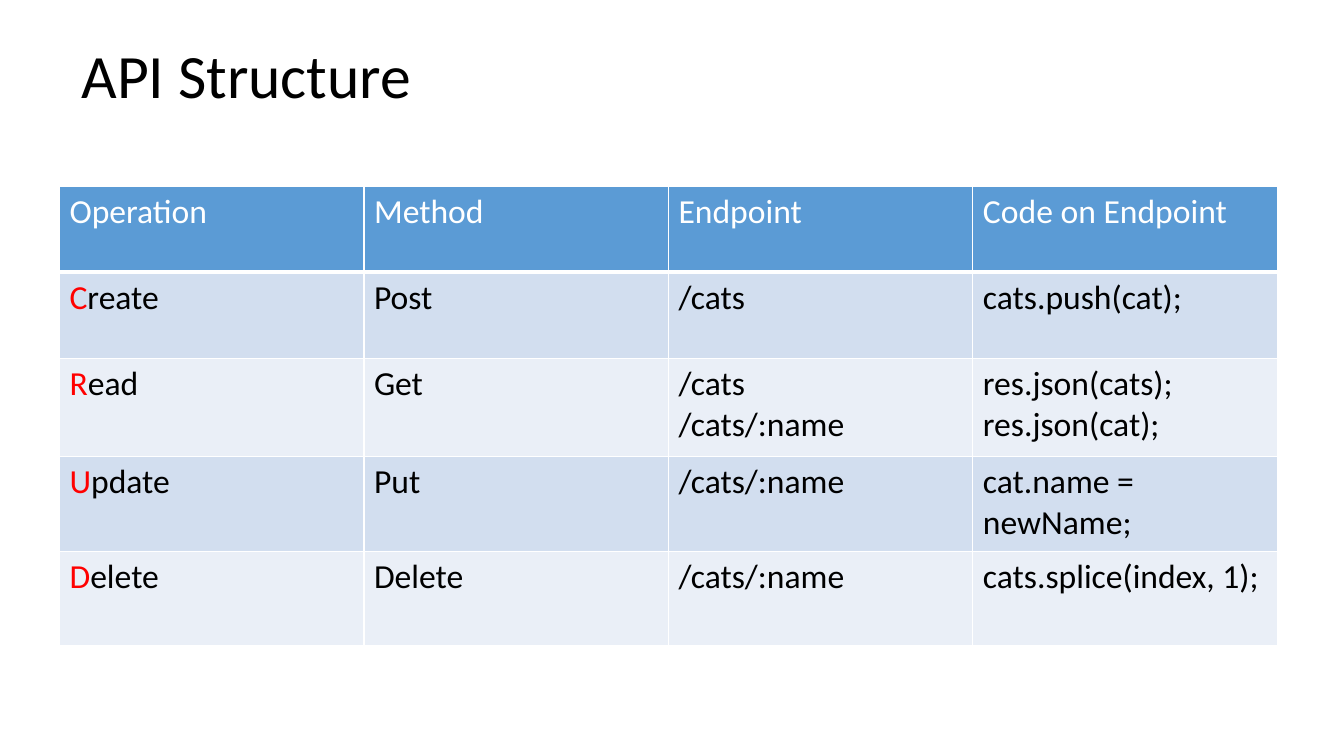
from lxml import etree
from pptx import Presentation
from pptx.dml.color import RGBColor
from pptx.enum.text import MSO_ANCHOR
from pptx.oxml.ns import qn
from pptx.util import Pt

TOP = MSO_ANCHOR.TOP
PX = 9144  # 100 px to the inch
THEME = {
    "font": "Calibri", "title": 44, "body": 24,
    "text": "000000", "white": "FFFFFF", "initial": "FF0000",
    "header": "5B9BD5", "bands": ("D2DEEF", "EAEFF7"),
}


def add_text(tf, text, size, color, initial=None, spacing=None):
    """Write one paragraph per line; initial colours the first letter."""
    for i, line in enumerate(text.split("\n")):
        p = tf.add_paragraph() if i else tf.paragraphs[0]
        if spacing:
            p.line_spacing = spacing
        parts = [(line[0], initial), (line[1:], color)] if initial else [(line, color)]
        for part, part_color in parts:
            r = p.add_run()
            r.text = part
            r.font.name = THEME["font"]
            r.font.size = Pt(size)
            r.font.color.rgb = RGBColor.from_string(part_color)


def set_borders(cell, color, bottom):
    """Give a cell 1 pt borders, with its own width at the bottom."""
    tcPr = cell._tc.get_or_add_tcPr()
    widths = {"a:lnL": 1, "a:lnR": 1, "a:lnT": 1, "a:lnB": bottom}
    for i, (tag, width) in enumerate(widths.items()):
        ln = etree.Element(qn(tag), w=str(Pt(width)))
        fill = etree.SubElement(ln, qn("a:solidFill"))
        etree.SubElement(fill, qn("a:srgbClr"), val=color)
        tcPr.insert(i, ln)


prs = Presentation()
prs.slide_width, prs.slide_height = 1333 * PX, 750 * PX
s = prs.slides.add_slide(prs.slide_layouts[6])

# Title
sp = s.shapes.add_textbox(71 * PX, 40 * PX, 1150 * PX, 145 * PX)
tf = sp.text_frame
tf.word_wrap = True
tf.vertical_anchor = TOP
add_text(tf, "API Structure", THEME["title"], THEME["text"], spacing=0.9)

# Table of operations
ROWS = [
    ("Operation", "Method", "Endpoint", "Code on Endpoint"),
    ("Create", "Post", "/cats", "cats.push(cat);"),
    ("Read", "Get", "/cats\n/cats/:name", "res.json(cats);\nres.json(cat);"),
    ("Update", "Put", "/cats/:name", "cat.name = newName;"),
    ("Delete", "Delete", "/cats/:name", "cats.splice(index, 1);"),
]
COL_WIDTH = 302
ROW_HEIGHTS = (85, 86, 97, 94, 94)
table = s.shapes.add_table(
    len(ROWS), len(ROWS[0]), 59 * PX, 185 * PX,
    COL_WIDTH * len(ROWS[0]) * PX, sum(ROW_HEIGHTS) * PX).table
for column in table.columns:
    column.width = COL_WIDTH * PX

for row, (texts, height) in enumerate(zip(ROWS, ROW_HEIGHTS)):
    table.rows[row].height = height * PX
    header = row == 0
    fill = THEME["header"] if header else THEME["bands"][(row - 1) % 2]
    color = THEME["white"] if header else THEME["text"]
    for col, text in enumerate(texts):
        cell = table.cell(row, col)
        cell.fill.solid()
        cell.fill.fore_color.rgb = RGBColor.from_string(fill)
        set_borders(cell, THEME["white"], bottom=3 if header else 1)
        initial = THEME["initial"] if col == 0 and not header else None
        add_text(cell.text_frame, text, THEME["body"], color, initial=initial)
    # The line under the header is shared with the first data row
    if row == 1:
        for cell in table.rows[row].cells:
            cell._tc.tcPr.find(qn("a:lnT")).set("w", str(Pt(3)))

prs.save("out.pptx")
